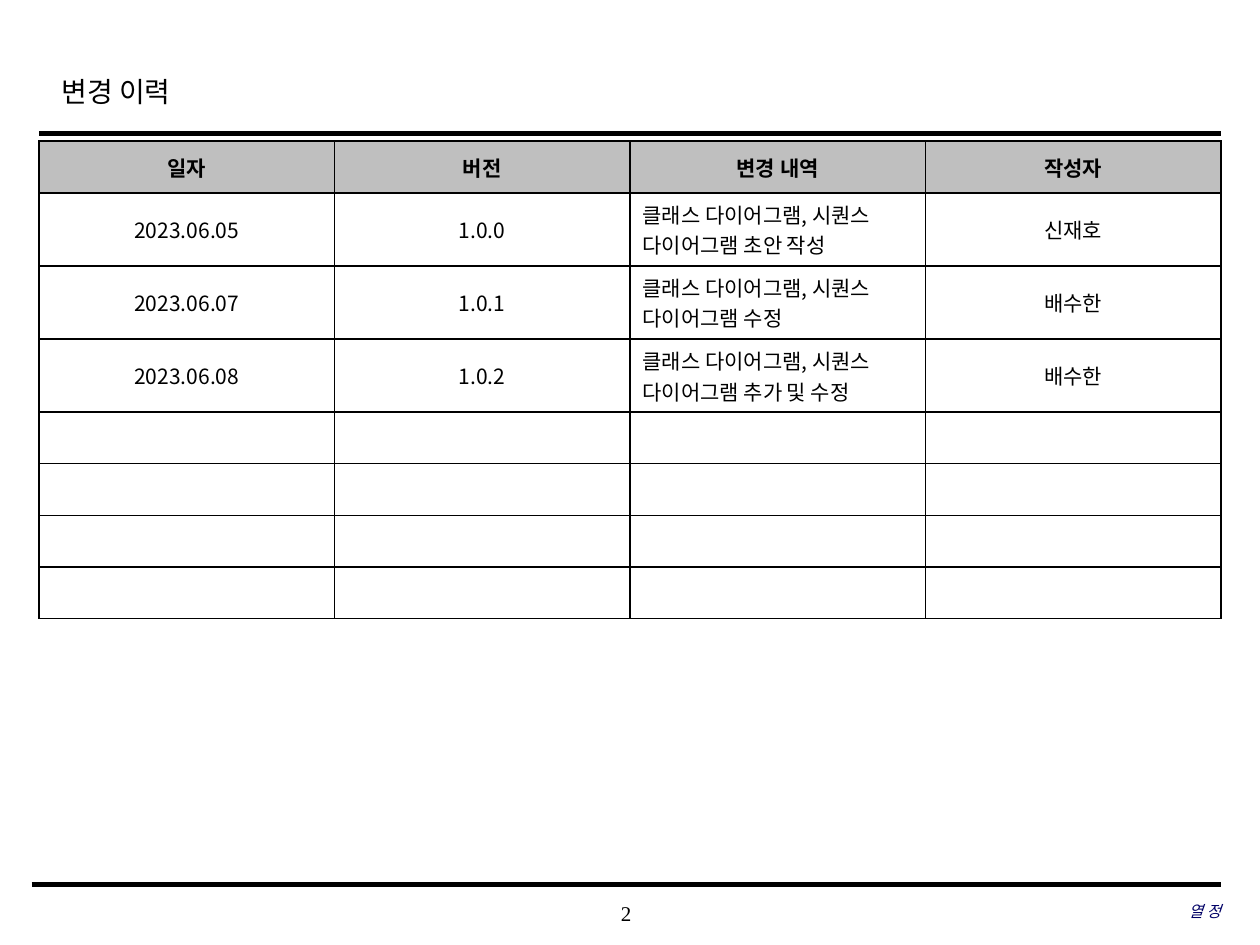
from lxml.etree import SubElement
from pptx import Presentation
from pptx.dml.color import RGBColor
from pptx.enum.shapes import MSO_CONNECTOR
from pptx.enum.text import MSO_ANCHOR, PP_ALIGN
from pptx.oxml.ns import qn
from pptx.util import Inches, Pt

SERIF = "Times New Roman"
SANS = "Noto Sans CJK KR"
HEADERS = ["일자", "버전", "변경 내역", "작성자"]
CHANGES = [
    ["2023.06.05", "1.0.0", "클래스 다이어그램, 시퀀스 다이어그램 초안 작성", "신재호"],
    ["2023.06.07", "1.0.1", "클래스 다이어그램, 시퀀스 다이어그램 수정", "배수한"],
    ["2023.06.08", "1.0.2", "클래스 다이어그램, 시퀀스 다이어그램 추가 및 수정", "배수한"],
]
EMPTY_ROWS = 4
DETAIL_COLUMN = 2


def rgb(color):
    """Turn a hex string into a colour."""
    return RGBColor.from_string(color)


def set_font(p, name, size, color="000000", bold=False, italic=False):
    """Set the font of a whole paragraph."""
    f = p.font
    f.name, f.size, f.bold, f.italic = name, Pt(size), bold, italic
    f.color.rgb = rgb(color)


def add_rule(s, left, right, y, width):
    """Draw a horizontal black rule."""
    line = s.shapes.add_connector(
        MSO_CONNECTOR.STRAIGHT, Inches(left), Inches(y), Inches(right), Inches(y))
    line.line.color.rgb = rgb("000000")
    line.line.width = Pt(width)
    SubElement(line._element.spPr, qn("a:effectLst"))


def add_text(s, box, text, align=PP_ALIGN.LEFT):
    """Add a wrapped text box and return its frame and paragraph."""
    tf = s.shapes.add_textbox(*map(Inches, box)).text_frame
    tf.word_wrap = True
    p = tf.paragraphs[0]
    p.text, p.alignment = text, align
    return tf, p


def add_header(s, left, top, width, height):
    """Place the slide title and the rule under it."""
    tf, p = add_text(s, (left + 0.08, top, 7.55, 0.5), "변경 이력")
    p.line_spacing = 1.2
    set_font(p, SERIF, 16)
    add_rule(s, left, left + width, top + height, 2.5)


def add_footer(s, left, top, width):
    """Place the bottom rule, the page number and the team name."""
    right = left + width
    add_rule(s, left, right, top, 3)
    parts = [
        ((3.93, top + 0.06, 2.08, 0.33), "2", PP_ALIGN.CENTER, 12, "000000", False),
        ((right - 3.06, top + 0.05, 3.06, 0.33), "열 정", PP_ALIGN.RIGHT, 9, "000066", True),
    ]
    for box, text, align, size, color, italic in parts:
        tf, p = add_text(s, box, text, align)
        tf.margin_left = tf.margin_right = tf.margin_top = tf.margin_bottom = 0
        tf.vertical_anchor = MSO_ANCHOR.MIDDLE
        set_font(p, SERIF, size, color, italic=italic)


def set_borders(cell, color, width):
    """Give a cell the same border on all four sides."""
    tcPr = cell._tc.get_or_add_tcPr()
    for i, side in enumerate(("lnL", "lnR", "lnT", "lnB")):
        ln = tcPr.makeelement(qn(f"a:{side}"), {"w": str(Pt(width))})
        fill = SubElement(ln, qn("a:solidFill"))
        SubElement(fill, qn("a:srgbClr"), val=color)
        tcPr.insert(i, ln)


def add_history(s, left, top, width, row_height, change_height):
    """Place the change history table, with taller rows for the changes."""
    rows = [HEADERS, *CHANGES] + [[""] * len(HEADERS)] * EMPTY_ROWS
    heights = [row_height] + [change_height] * len(CHANGES) + [row_height] * EMPTY_ROWS
    table = s.shapes.add_table(
        len(rows), len(HEADERS), Inches(left), Inches(top),
        Inches(width), Inches(sum(heights))).table
    for column in table.columns:
        column.width = Inches(width / len(HEADERS))
    for i, (values, height) in enumerate(zip(rows, heights)):
        table.rows[i].height = Inches(height)
        for j, value in enumerate(values):
            cell = table.cell(i, j)
            cell.fill.solid()
            cell.fill.fore_color.rgb = rgb("FFFFFF" if i else "BFBFBF")
            cell.vertical_anchor = MSO_ANCHOR.MIDDLE
            set_borders(cell, "000000", 1)
            p = cell.text_frame.paragraphs[0]
            if value:
                p.text = value
            p.alignment = PP_ALIGN.LEFT if i and j == DETAIL_COLUMN else PP_ALIGN.CENTER
            set_font(p, SANS, 12, bold=i == 0)


def main():
    """Build and save the change history slide."""
    prs = Presentation()
    prs.slide_width, prs.slide_height = Inches(10), Inches(7.5)
    s = prs.slides.add_slide(prs.slide_layouts[6])
    add_header(s, 0.31, 0.49, 9.38, 0.57)
    add_history(s, 0.31, 1.12, 9.38, 0.41, 0.58)
    add_footer(s, 0.25, 7.02, 9.44)
    prs.save("out.pptx")


if __name__ == "__main__":
    main()
